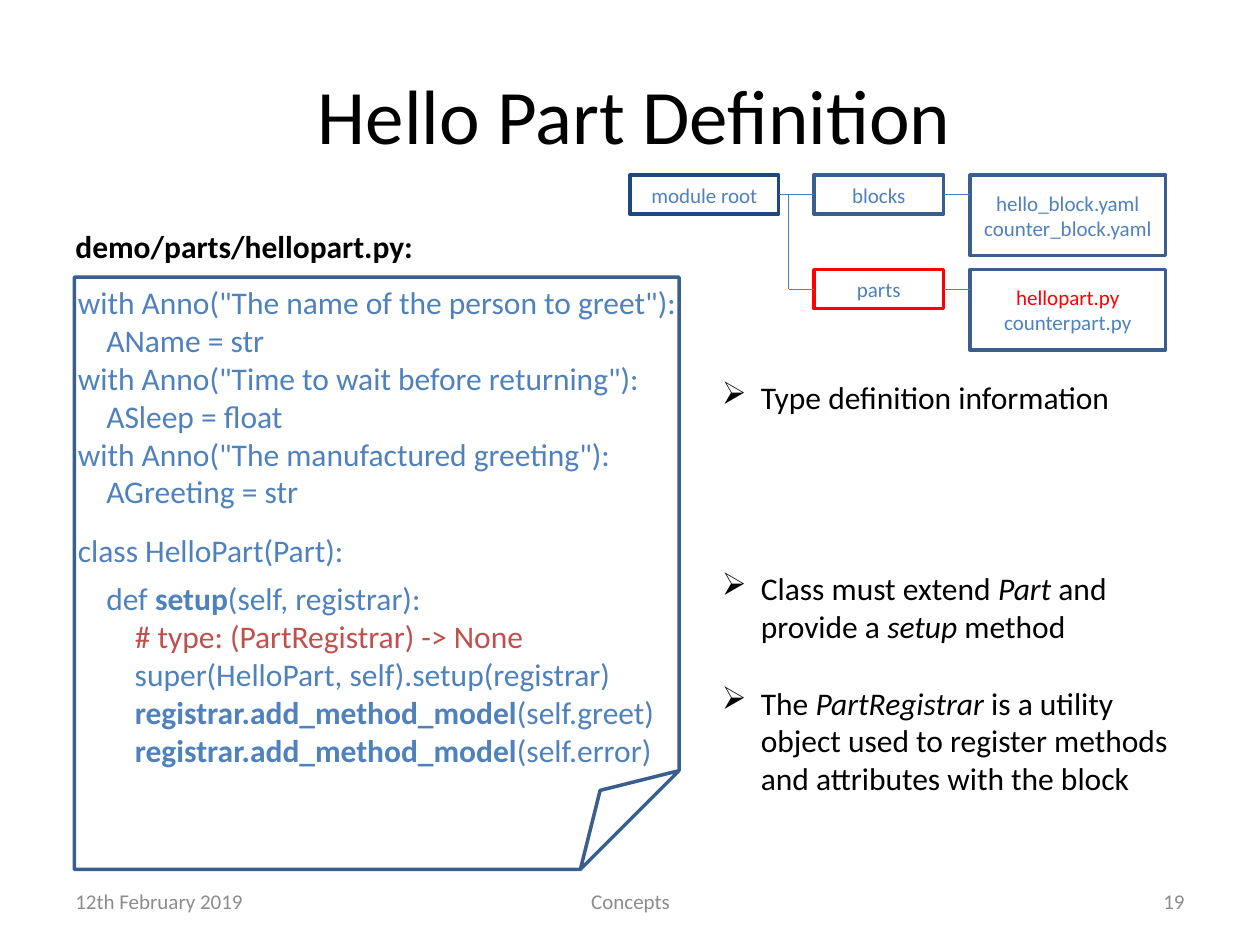
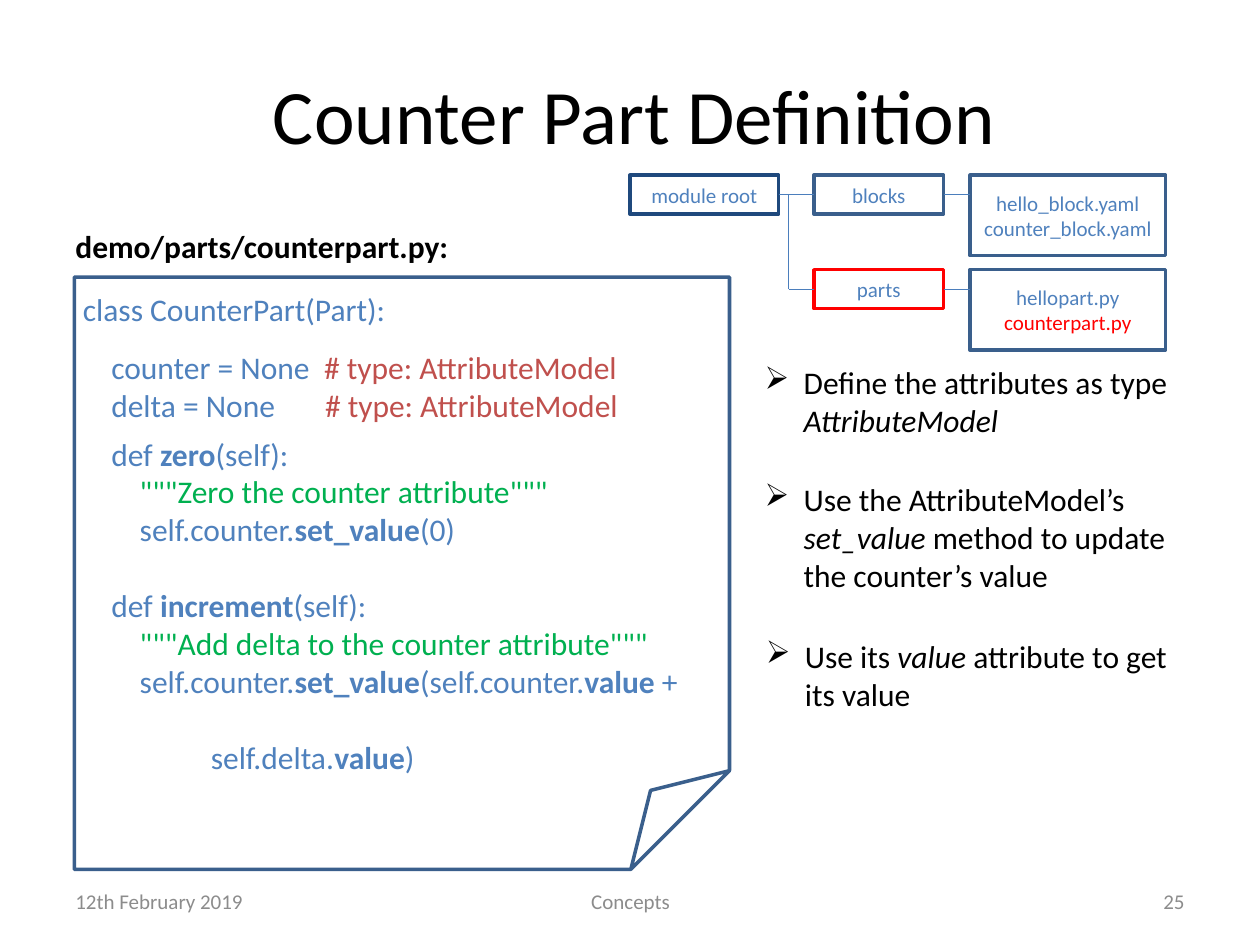
from dataclasses import dataclass

from lxml.etree import SubElement
from pptx import Presentation
from pptx.dml.color import RGBColor
from pptx.enum.shapes import MSO_CONNECTOR, MSO_SHAPE
from pptx.enum.text import MSO_ANCHOR, PP_ALIGN
from pptx.oxml.ns import qn
from pptx.util import Inches, Pt


@dataclass(frozen=True)
class Theme:
    font: str = "Calibri"
    title_size: int = 44
    body_size: int = 18
    small_size: int = 12
    blank_line: int = 22
    outline_width: float = 2
    link_width: float = 0.75
    ink: str = "000000"
    footer: str = "8C8C8C"
    code: str = "4F81BD"
    comment: str = "C0504D"
    docstring: str = "00B050"
    outline: str = "3A5F8C"
    root_outline: str = "1F497D"
    link: str = "4B7EBC"
    highlight: str = "FF0000"


theme = Theme()

deck = Presentation()
deck.slide_width, deck.slide_height = Inches(10), Inches(7.5)
COLUMN = deck.slide_width / 100
ROW = deck.slide_height / 75


def grid(column, row, columns, rows):
    """Turn a place on the 100 by 75 grid into left, top, width and height."""
    return [round(length) for length in
            (column * COLUMN, row * ROW, columns * COLUMN, rows * ROW)]


def write(box, paragraphs, size=theme.body_size, color=theme.ink, bold=False,
          align=PP_ALIGN.LEFT, anchor=MSO_ANCHOR.TOP, bullet=None, after=None, wrap=True):
    """Fill a box; a paragraph is a list of strings or (string, span format) pairs.

    `after` maps a paragraph's index to the space that follows it.
    """
    frame = box.text_frame
    frame.word_wrap = wrap
    frame.vertical_anchor = anchor
    for index, spans in enumerate(paragraphs):
        para = frame.add_paragraph() if index else frame.paragraphs[0]
        para.alignment = align
        if bullet:
            properties = para._p.get_or_add_pPr()
            properties.set("marL", str(Inches(0.31)))
            properties.set("indent", str(-Inches(0.31)))
            SubElement(properties, qn("a:buChar")).set("char", bullet)
        para.space_before = Pt(0)
        para.space_after = Pt((after or {}).get(index, 0))
        for item in spans:
            text, style = (item, {}) if isinstance(item, str) else item
            span = para.add_run()
            span.text = text
            span.font.name = theme.font
            span.font.size = Pt(size)
            span.font.bold = style.get("bold", bold)
            span.font.italic = style.get("italic", False)
            span.font.color.rgb = RGBColor.from_string(style.get("color", color))


BOLD = {"bold": True}
ITALIC = {"italic": True}
COMMENT = {"color": theme.comment}
DOCSTRING = {"color": theme.docstring}
HIGHLIGHT = {"color": theme.highlight}

hello_part = {
    "title": "Hello Part Definition",
    "file": "hellopart.py",
    "number": "19",
    "note_columns": 48,
    "code_place": (5.2, 22, 53.4, 47),
    "code_after": {5: 12, 6: 6},
    "code": [
        ['with Anno("The name of the person to greet"):'],
        ["    AName = str"],
        ['with Anno("Time to wait before returning"):'],
        ["    ASleep = float"],
        ['with Anno("The manufactured greeting"):'],
        ["    AGreeting = str"],
        ["class HelloPart(Part):"],
        ["    def ", ("setup", BOLD), "(self, registrar):"],
        ["        ", ("# type: (PartRegistrar) -> None", COMMENT)],
        ["        super(HelloPart, self).setup(registrar)"],
        ["        ", ("registrar.add_method_model", BOLD), "(self.greet)"],
        ["        ", ("registrar.add_method_model", BOLD), "(self.error)"],
    ],
    "remarks": [
        ((56.3, 29.5, 43.2, 4), [["Type definition information"]]),
        ((56.3, 44.7, 39.8, 19.2), [
            ["Class must extend ", ("Part", ITALIC), " and provide a ",
             ("setup", ITALIC), " method"],
            ["The ", ("PartRegistrar", ITALIC), " is a utility object used to register "
             "methods and attributes with the block"],
        ]),
    ],
}

counter_part = {
    "title": "Counter Part Definition",
    "file": "counterpart.py",
    "number": "25",
    "note_columns": 52,
    "code_place": (5.6, 22.5, 50, 36.9),
    "code_after": {0: 12, 2: 6, 5: theme.blank_line, 8: theme.blank_line},
    "code": [
        ["class CounterPart(Part):"],
        ["    counter = None  ", ("# type: AttributeModel", COMMENT)],
        ["    delta = None       ", ("# type: AttributeModel", COMMENT)],
        ["    def ", ("zero", BOLD), "(self):"],
        [('        """Zero the counter attribute"""', DOCSTRING)],
        ["        self.counter.", ("set_value", BOLD), "(0)"],
        ["    def ", ("increment", BOLD), "(self):"],
        [('        """Add delta to the counter attribute"""', DOCSTRING)],
        ["        self.counter.", ("set_value", BOLD), "(self.counter.",
         ("value", BOLD), " +"],
        ["                  self.delta.", ("value", BOLD), ")"],
    ],
    "remarks": [
        ((59.7, 28.3, 37.8, 13.1), [
            ["Define the attributes as type ", ("AttributeModel", ITALIC)]]),
        ((59.7, 37.6, 33.9, 10.1), [
            ["Use the AttributeModel’s ", ("set_value", ITALIC),
             " method to update the counter’s value"]]),
        ((59.8, 50.1, 33.9, 7.1), [
            ["Use its ", ("value ", ITALIC), "attribute to get its value"]]),
    ],
}

# File tree: folders hang on a trunk, each folder leads to its files
BLOCKS_ROW, PARTS_ROW = 13.9, 21.4
FOLDER_ROWS, FILES_ROWS = 3.1, 6.4
ROOT, FOLDER, FILES = (50, 11.8), (64.6, 10.3), (77, 15.5)
TRUNK = 62.6
blocks_middle, parts_middle = (row + FOLDER_ROWS / 2 for row in (BLOCKS_ROW, PARTS_ROW))
root_right, folder_right = sum(ROOT), sum(FOLDER)

tree_links = [
    (root_right, blocks_middle, FOLDER[0], blocks_middle),
    (TRUNK, blocks_middle, TRUNK, parts_middle),
    (TRUNK, parts_middle, FOLDER[0], parts_middle),
    (folder_right, blocks_middle, FILES[0], blocks_middle),
    (folder_right, parts_middle, FILES[0], parts_middle),
]

for content in (hello_part, counter_part):
    page = deck.slides.add_slide(deck.slide_layouts[6])

    title = page.shapes.add_textbox(*grid(16.9, 2.8, 66.9, 12.5))
    write(title, [[content["title"]]], size=theme.title_size,
          align=PP_ALIGN.CENTER, anchor=MSO_ANCHOR.MIDDLE)

    file_heading = page.shapes.add_textbox(*grid(5, 17.5, 52.1, 4.5))
    write(file_heading, [[f"demo/parts/{content['file']}:"]], bold=True)

    for column, columns, text, align in (
            (5, 23.3, "12th February 2019", PP_ALIGN.LEFT),
            (34.2, 31.7, "Concepts", PP_ALIGN.CENTER),
            (71.7, 23.3, content["number"], PP_ALIGN.RIGHT)):
        footer = page.shapes.add_textbox(*grid(column, 69.5, columns, 4))
        write(footer, [[text]], size=theme.small_size, color=theme.footer,
              align=align, anchor=MSO_ANCHOR.MIDDLE)

    note = page.shapes.add_shape(MSO_SHAPE.FOLDED_CORNER,
                                 *grid(5.9, 22, content["note_columns"], 47))
    note.shadow.inherit = False
    note.fill.background()
    note.line.color.rgb = RGBColor.from_string(theme.outline)
    note.line.width = Pt(theme.outline_width)

    code = page.shapes.add_textbox(*grid(*content["code_place"]))
    write(code, content["code"], color=theme.code, after=content["code_after"])

    for place, paragraphs in content["remarks"]:
        remark = page.shapes.add_textbox(*grid(*place))
        write(remark, paragraphs, bullet="➢", after={0: theme.blank_line})

    part_files = [[(name, HIGHLIGHT) if name == content["file"] else name]
                  for name in ("hellopart.py", "counterpart.py")]
    block_files = [["hello_block.yaml"], ["counter_block.yaml"]]
    tree = page.shapes.add_group_shape()
    for (column, columns), row, rows, outline, names in (
            (ROOT, BLOCKS_ROW, FOLDER_ROWS, theme.root_outline, [["module root"]]),
            (FOLDER, BLOCKS_ROW, FOLDER_ROWS, theme.outline, [["blocks"]]),
            (FOLDER, PARTS_ROW, FOLDER_ROWS, theme.highlight, [["parts"]]),
            (FILES, BLOCKS_ROW, FILES_ROWS, theme.outline, block_files),
            (FILES, PARTS_ROW, FILES_ROWS, theme.outline, part_files)):
        node = tree.shapes.add_shape(MSO_SHAPE.RECTANGLE, *grid(column, row, columns, rows))
        node.shadow.inherit = False
        node.fill.background()
        node.line.color.rgb = RGBColor.from_string(outline)
        node.line.width = Pt(theme.outline_width)
        write(node, names, size=theme.small_size, color=theme.code,
              align=PP_ALIGN.CENTER, anchor=MSO_ANCHOR.MIDDLE, wrap=False)

    for ends in tree_links:
        link = tree.shapes.add_connector(MSO_CONNECTOR.STRAIGHT, *grid(*ends))
        link.line.color.rgb = RGBColor.from_string(theme.link)
        link.line.width = Pt(theme.link_width)
        SubElement(link._element.spPr, qn("a:effectLst"))

deck.save("out.pptx")
